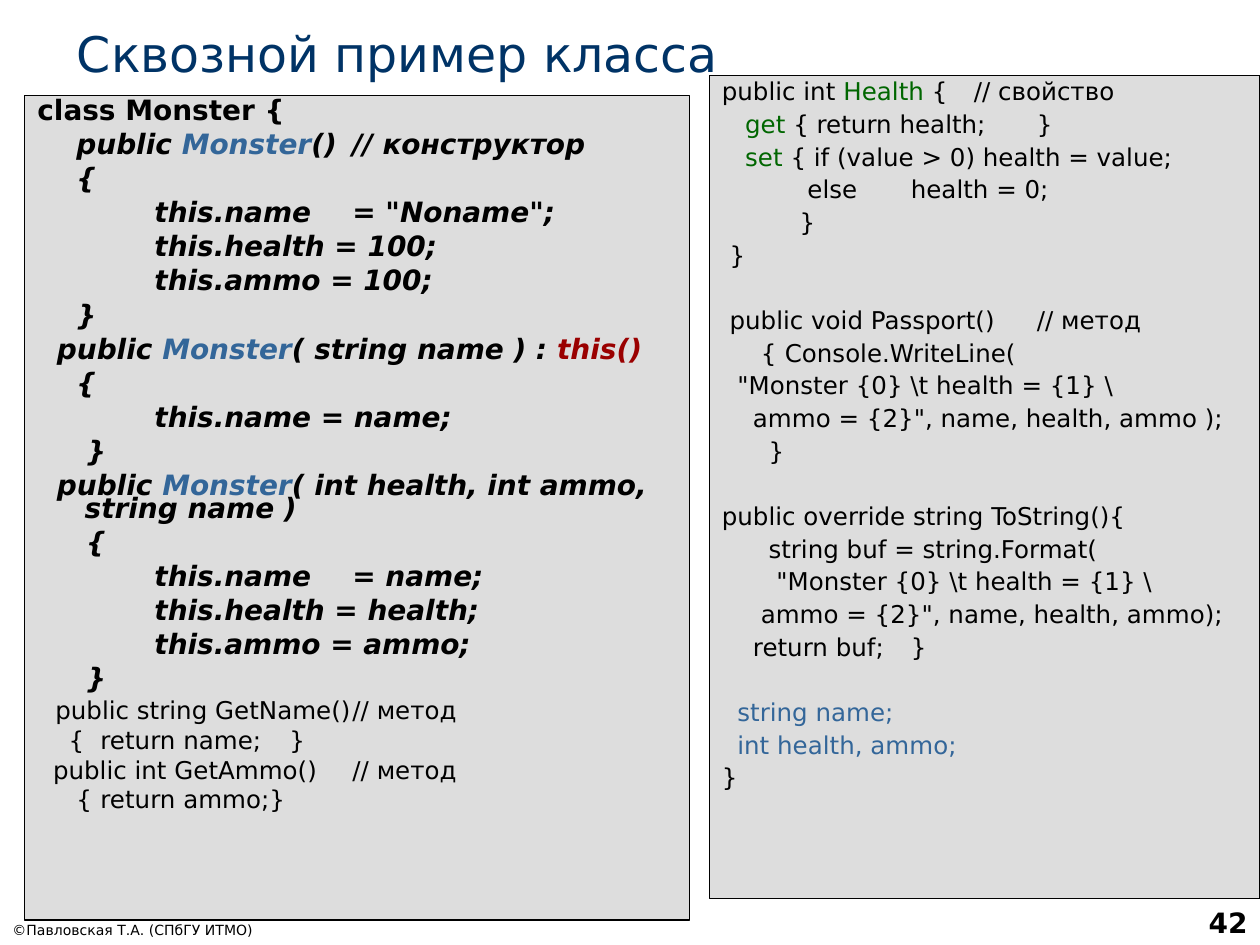
"""Build a slide with the full listing of a C# example class."""
from lxml import etree
from pptx import Presentation
from pptx.dml.color import RGBColor
from pptx.enum.shapes import MSO_SHAPE
from pptx.enum.text import MSO_ANCHOR, MSO_AUTO_SIZE, PP_ALIGN
from pptx.oxml.ns import qn
from pptx.util import Pt

RECTANGLE = MSO_SHAPE.RECTANGLE
TOP, BOTTOM = MSO_ANCHOR.TOP, MSO_ANCHOR.BOTTOM
LEFT, RIGHT = PP_ALIGN.LEFT, PP_ALIGN.RIGHT
FIXED_SIZE = MSO_AUTO_SIZE.NONE

FONT = "DejaVu Sans"
COLORS = {
    "text": "000000", "title": "003366", "panel": "DDDDDD",
    "type": "336699", "call": "9A0000", "property": "006600",
}
HEADING = {"size": 16, "space": 5.57, "bold": True}
CONSTRUCTOR = {**HEADING, "italic": True}
MEMBER = {"size": 14, "space": 4.45}

MONSTER = ("Monster", "type")
HEADER_LINES = [(0, ["class Monster {"])]
CONSTRUCTOR_LINES = [
    (4, ["public ", MONSTER, "()\t// конструктор"], 187),
    (4, ["{"]),
    (12, ['this.name\t= "Noname";'], 167.5),
    (12, ["this.health = 100;"]),
    (12, ["this.ammo = 100;"]),
    (4, ["}"]),
    (2, ["public ", MONSTER, "( string name ) : ", ("this()", "call")]),
    (4, ["{"]),
    (12, ["this.name = name;"]),
    (5, ["}"]),
    (2, ["public ", MONSTER, "( int health, int ammo, string name )"]),
    (5, ["{"]),
    (12, ["this.name\t= name;"], 167.5),
    (12, ["this.health = health;"]),
    (12, ["this.ammo = ammo;"]),
    (5, ["}"]),
]
GETTER_LINES = [
    (2.3, ["public string GetName()\t// метод"], 202),
    (4, ["{\treturn name;\t}"], 36, 143.5),
    (2, ["public int GetAmmo()\t// метод"], 196),
    (5, ["{\treturn ammo;}"], 40),
]
MEMBER_GROUPS = [
    [
        (0, ["public int ", ("Health", "property"), " {\t// свойство"], 200),
        (3, [("get", "property"), " { return health;\t}"], 160),
        (3, [("set", "property"), " { if (value > 0) health = value;"]),
        (11, ["else\thealth = 0;"], 144.5),
        (10, ["}"]),
        (1, ["}"]),
    ],
    [
        (1, ["public void Passport()\t// метод"], 223),
        (5, ["{\tConsole.WriteLine("], 44.5),
        (2, ['"Monster {0} \\t health = {1} \\']),
        (4, ['ammo = {2}", name, health, ammo );']),
        (6, ["}"]),
    ],
    [
        (0, ["public override string ToString(){"]),
        (6, ["string buf = string.Format("]),
        (7, ['"Monster {0} \\t health = {1} \\']),
        (5, ['ammo = {2}", name, health, ammo);']),
        (4, ["return buf;\t}"], 102),
    ],
    [
        (2, [("string name;", "type")]),
        (2, [("int health, ammo;", "type")]),
        (0, ["}"]),
    ],
]


def rgb(name):
    """Return the named colour."""
    return RGBColor.from_string(COLORS[name])


def style_font(paragraph, size, color="text", bold=False, italic=False):
    """Set the font that all runs of the paragraph share."""
    font = paragraph.font
    font.name, font.size = FONT, Pt(size)
    font.bold, font.italic = bold, italic
    font.color.rgb = rgb(color)


def place(shape, left, top, width, height):
    """Move a placeholder to its position."""
    shape.left, shape.top = Pt(left), Pt(top)
    shape.width, shape.height = Pt(width), Pt(height)


def set_layout(paragraph, indent, hanging, tabs):
    """Give a code line its indents and tab stops, without a bullet."""
    properties = paragraph._p.get_or_add_pPr()
    properties.set("marL", str(Pt(hanging)))
    properties.set("indent", str(Pt(indent - hanging)))
    etree.SubElement(properties, qn("a:buNone"))
    if tabs:
        stops = etree.SubElement(properties, qn("a:tabLst"))
        for position in tabs:
            etree.SubElement(stops, qn("a:tab"), pos=str(Pt(position)), algn="l")


def add_code(frame, lines, spacing, size, space, gap=0, **emphasis):
    """Append code lines, with a gap before the first of them."""
    for number, (depth, pieces, *tabs) in enumerate(lines):
        started = bool(frame.paragraphs[0].runs)
        line = frame.add_paragraph() if started else frame.paragraphs[0]
        line.alignment = LEFT
        line.line_spacing = spacing
        line.space_before = Pt(size / 4 + (0 if number else gap))
        line.space_after = Pt(size / 8)
        set_layout(line, depth * space, 0 if tabs else 27, tabs)
        style_font(line, size, **emphasis)
        for piece in pieces:
            text, color = (piece, None) if isinstance(piece, str) else piece
            run = line.add_run()
            run.text = text
            if color:
                run.font.color.rgb = rgb(color)


def style_panel(panel):
    """Make a shape a grey outlined code panel and return its text frame."""
    panel.fill.solid()
    panel.fill.fore_color.rgb = rgb("panel")
    panel.line.color.rgb = rgb("text")
    panel.line.width = Pt(0.75)
    panel.shadow.inherit = False
    frame = panel.text_frame
    frame.word_wrap = True
    frame.auto_size = FIXED_SIZE
    frame.vertical_anchor = TOP
    return frame


def add_title(slide, text):
    """Fill the title placeholder."""
    title = slide.shapes.title
    place(title, 36.7, 9.4, 674.6, 41)
    frame = title.text_frame
    frame.text = text
    frame.auto_size = FIXED_SIZE
    frame.vertical_anchor = BOTTOM
    frame.paragraphs[0].alignment = LEFT
    style_font(frame.paragraphs[0], 28, "title")


def add_footer(slide, text, box, size, alignment=LEFT, bold=False):
    """Add a footer text at the bottom of the slide."""
    frame = slide.shapes.add_textbox(*map(Pt, box)).text_frame
    frame.word_wrap = True
    frame.vertical_anchor = BOTTOM
    frame.text = text
    frame.paragraphs[0].alignment = alignment
    style_font(frame.paragraphs[0], size, bold=bold)


def main():
    """Build and save the slide."""
    deck = Presentation()
    deck.slide_width, deck.slide_height = Pt(720), Pt(540)
    slide = deck.slides.add_slide(deck.slide_layouts[1])
    add_footer(slide, "©Павловская Т.А. (СПбГУ ИТМО)", (0, 520, 224, 20), 8)
    add_footer(slide, "42", (570, 504, 150, 36), 16, RIGHT, bold=True)
    add_title(slide, "Сквозной пример класса")

    constructors = slide.placeholders[1]
    place(constructors, 14.2, 54.7, 380, 471)
    listing = style_panel(constructors)
    add_code(listing, HEADER_LINES, 0.7, **HEADING)
    add_code(listing, CONSTRUCTOR_LINES, 0.7, **CONSTRUCTOR)
    add_code(listing, GETTER_LINES, 0.7, **MEMBER)

    members = slide.shapes.add_shape(RECTANGLE, Pt(405.4), Pt(43.2), Pt(314.6), Pt(470.4))
    listing = style_panel(members)
    for number, group in enumerate(MEMBER_GROUPS):
        add_code(listing, group, 0.8, gap=18.6 if number else 0, **MEMBER)

    deck.save("out.pptx")


if __name__ == "__main__":
    main()
